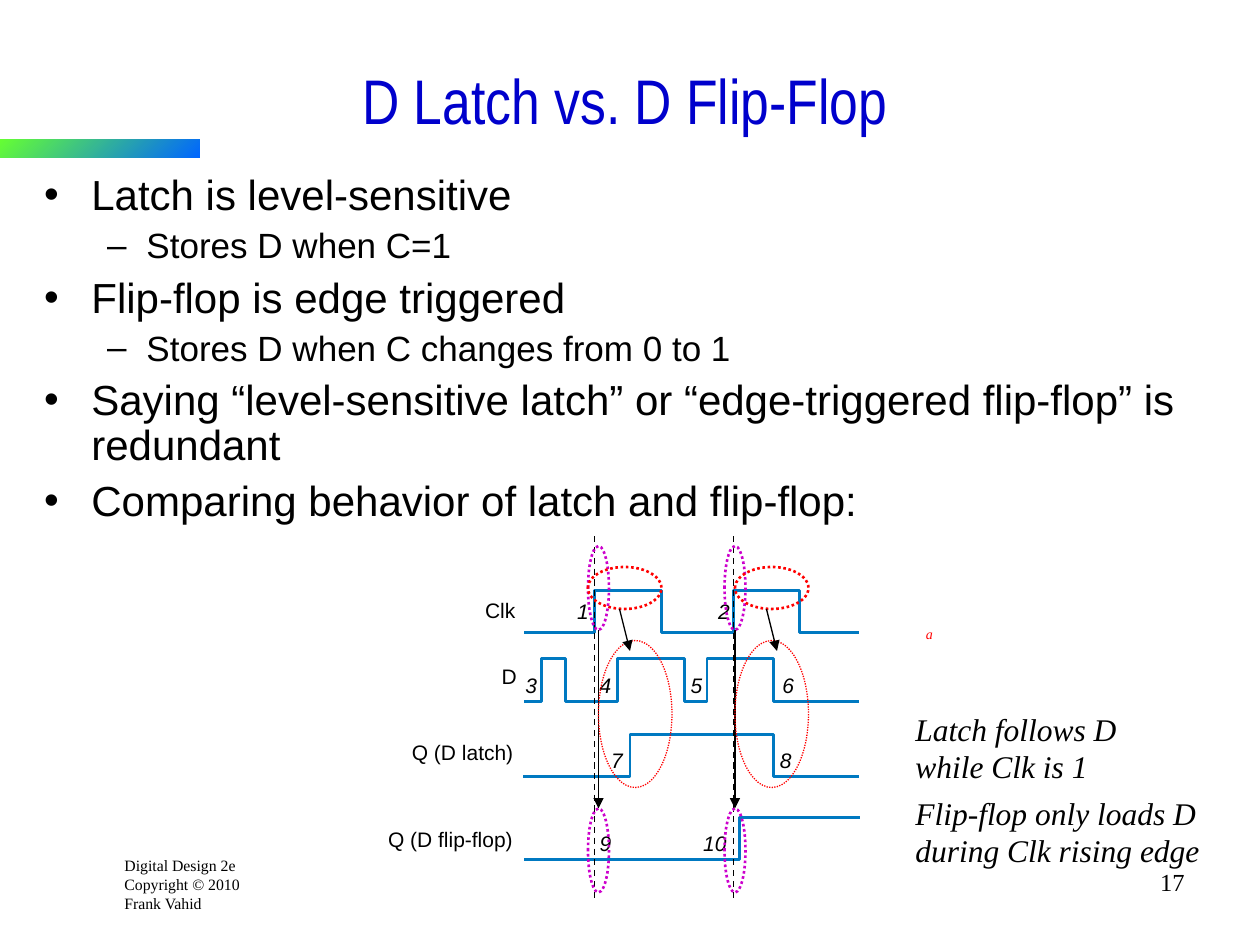
from lxml.etree import SubElement
from pptx import Presentation
from pptx.dml.color import RGBColor
from pptx.enum.dml import MSO_LINE
from pptx.enum.shapes import MSO_CONNECTOR, MSO_SHAPE
from pptx.enum.text import MSO_ANCHOR, MSO_AUTO_SIZE, PP_ALIGN
from pptx.oxml.ns import qn
from pptx.util import Pt

BLACK = RGBColor(0x00, 0x00, 0x00)
TITLE_BLUE = RGBColor(0x00, 0x00, 0xCC)
WAVE_BLUE = RGBColor(0x00, 0x79, 0xC1)
RED = RGBColor(0xFF, 0x00, 0x00)
VIOLET = RGBColor(0xCC, 0x00, 0xCC)
BAR_GREEN = RGBColor(0x66, 0xFF, 0x33)
BAR_BLUE = RGBColor(0x00, 0x66, 0xFF)
SANS, SERIF = "Arial", "Times New Roman"

BULLETS = [
    (0, "Latch is level-sensitive"),
    (1, "Stores D when C=1"),
    (0, "Flip-flop is edge triggered"),
    (1, "Stores D when C changes from 0 to 1"),
    (0, "Saying “level-sensitive latch” or “edge-triggered flip-flop” is redundant"),
    (0, "Comparing behavior of latch and flip-flop:"),
]
CLOCK_EDGES = (339.8, 419.2)
# left, right, low level, high level, times of the edges
WAVES = [
    (299.5, 491, 361.5, 337.7, (339.8, 378, 419.2, 457)),
    (299.5, 491, 400.8, 376.2, (309.5, 323.2, 352.8, 391, 404, 442)),
    (299, 491, 443.5, 419.6, (360, 442)),
    (299.5, 491.5, 491, 467.3, (422.6,)),
]
# text, left, top, width
SIGNAL_LABELS = [
    ("Clk", 277.2, 341.3, 20),
    ("D", 286.6, 379.4, 10),
    ("Q (D latch)", 235.4, 422.6, 61),
    ("Q (D flip-flop)", 221.8, 472.3, 75),
]
# labels of the edges, by the top of their row
EDGE_LABELS = {
    342: [("1", 329.8), ("2", 410.4)],
    384.5: [("3", 300.2), ("4", 342.7), ("5", 394.6), ("6", 447.1)],
    427: [("7", 349.2), ("8", 445.7)],
    474.5: [("9", 342.7), ("10", 401.8)],
}


def write(text_frame, text, size=12, font=SANS, color=BLACK, italic=False, align=None):
    text_frame.text = text
    for paragraph in text_frame.paragraphs:
        paragraph.alignment = align
        for run in paragraph.runs:
            run.font.size = Pt(size)
            run.font.name = font
            run.font.color.rgb = color
            run.font.italic = italic


class SlideBuilder:
    def __init__(self, slide):
        self.slide = slide
        self.shapes = slide.shapes

    def place(self, shape, left, top, width, height):
        shape.left, shape.top = Pt(left), Pt(top)
        shape.width, shape.height = Pt(width), Pt(height)

    def title(self, text, *box):
        shape = self.shapes.title
        self.place(shape, *box)
        shape.text_frame.auto_size = MSO_AUTO_SIZE.NONE
        shape.text_frame.vertical_anchor = MSO_ANCHOR.MIDDLE
        write(shape.text_frame, text, 36, "Arial Narrow", TITLE_BLUE, align=PP_ALIGN.CENTER)

    def bullets(self, items, *box):
        shape = self.slide.placeholders[1]
        self.place(shape, *box)
        frame = shape.text_frame
        frame.auto_size = MSO_AUTO_SIZE.NONE
        write(frame, "\n".join(text for _, text in items), 24)
        for paragraph, (level, _) in zip(frame.paragraphs, items):
            paragraph.level = level
            paragraph.line_spacing = 0.9
            paragraph.space_before = Pt(5 if level else 6)
            if level:
                paragraph.runs[0].font.size = Pt(20)

    def text(self, text, left, top, width, height, wrap=True, **style):
        frame = self.shapes.add_textbox(Pt(left), Pt(top), Pt(width), Pt(height)).text_frame
        frame.word_wrap = wrap
        write(frame, text, **style)
        return frame

    def label(self, text, left, top, width, **style):
        """Add a one-line text without margins."""
        frame = self.text(text, left, top, width, 14.4, wrap=False,
                          align=PP_ALIGN.LEFT, **style)
        frame.margin_left = frame.margin_right = frame.margin_top = frame.margin_bottom = 0

    def gradient_bar(self, left, top, width, height):
        bar = self.shapes.add_shape(
            MSO_SHAPE.RECTANGLE, Pt(left), Pt(top), Pt(width), Pt(height))
        bar.shadow.inherit = False
        bar.line.fill.background()
        bar.fill.gradient()
        bar.fill.gradient_angle = 315
        for stop, color in zip(bar.fill.gradient_stops, (BAR_GREEN, BAR_BLUE)):
            stop.color.rgb = color

    def outline(self, shape, color, weight, dash=None):
        shape.shadow.inherit = False
        shape.fill.background()
        shape.line.color.rgb = color
        shape.line.width = Pt(weight)
        shape.line.dash_style = dash

    def wave(self, left, right, low, high, edges):
        """Draw a signal that starts low and toggles at each edge."""
        points, level = [], low
        for edge in edges:
            points.append((Pt(edge), Pt(level)))
            level = high if level == low else low
            points.append((Pt(edge), Pt(level)))
        points.append((Pt(right), Pt(level)))
        builder = self.shapes.build_freeform(Pt(left), Pt(low))
        builder.add_line_segments(points, close=False)
        self.outline(builder.convert_to_shape(), WAVE_BLUE, 1.62)

    def ellipse(self, left, top, width, height, color, weight):
        shape = self.shapes.add_shape(
            MSO_SHAPE.OVAL, Pt(left), Pt(top), Pt(width), Pt(height))
        self.outline(shape, color, weight, MSO_LINE.ROUND_DOT)

    def line(self, x1, y1, x2, y2, weight=0.75, dash=None, arrow=False):
        connector = self.shapes.add_connector(
            MSO_CONNECTOR.STRAIGHT, Pt(x1), Pt(y1), Pt(x2), Pt(y2))
        connector.line.color.rgb = BLACK
        connector.line.width = Pt(weight)
        connector.line.dash_style = dash
        properties = connector._element.spPr
        if arrow:
            SubElement(properties.find(qn("a:ln")), qn("a:tailEnd"), type="triangle")
        SubElement(properties, qn("a:effectLst"))


def main():
    presentation = Presentation()
    presentation.slide_width, presentation.slide_height = Pt(720), Pt(540)
    builder = SlideBuilder(presentation.slides.add_slide(presentation.slide_layouts[1]))

    builder.title("D Latch vs. D Flip-Flop", 18, 24, 678, 66)
    builder.bullets(BULLETS, 18, 96, 678, 208)
    builder.gradient_bar(0, 79.7, 114.3, 10.3)
    builder.text("Digital Design 2e\nCopyright © 2010\nFrank Vahid",
                 64, 485.3, 80.6, 39.6, size=9, font=SERIF)
    builder.text("17", 534, 492, 150, 36, size=14, font=SERIF, align=PP_ALIGN.RIGHT)

    for wave in WAVES:
        builder.wave(*wave)
    for edge in CLOCK_EDGES:
        builder.line(edge, 306.5, edge, 513.5, 0.88, MSO_LINE.DASH)
    for label in SIGNAL_LABELS:
        builder.label(*label)
    for top, labels in EDGE_LABELS.items():
        for text, left in labels:
            builder.label(text, left, top, 7.5 * len(text), italic=True)

    # Rising edges, linked from the clock to the flip-flop output
    for left, center in ((336, 342), (414, 420)):
        for top in (312, 462):
            builder.ellipse(left, top, 12, 48, VIOLET, 1.5)
        builder.line(center, 360, center, 462, arrow=True)
    # High clock levels, linked to what the latch follows
    for clock_left, latch_left, start, end in ((336, 342, 354, 360), (420, 420, 438, 444)):
        builder.ellipse(clock_left, 324, 42, 24, RED, 1.5)
        builder.ellipse(latch_left, 366, 42, 84, RED, 0.75)
        builder.line(start, 348, end, 372, arrow=True)

    note = dict(font=SERIF, italic=True)
    builder.text("Latch follows D while Clk is 1", 516, 402, 169, 50.4, size=18, **note)
    builder.text("Flip-flop only loads D during Clk rising edge",
                 516, 450, 181.5, 50.4, size=18, **note)
    builder.text("a", 522, 354, 18, 17.3, wrap=False, size=8, color=RED, **note)

    presentation.save("out.pptx")


if __name__ == "__main__":
    main()
